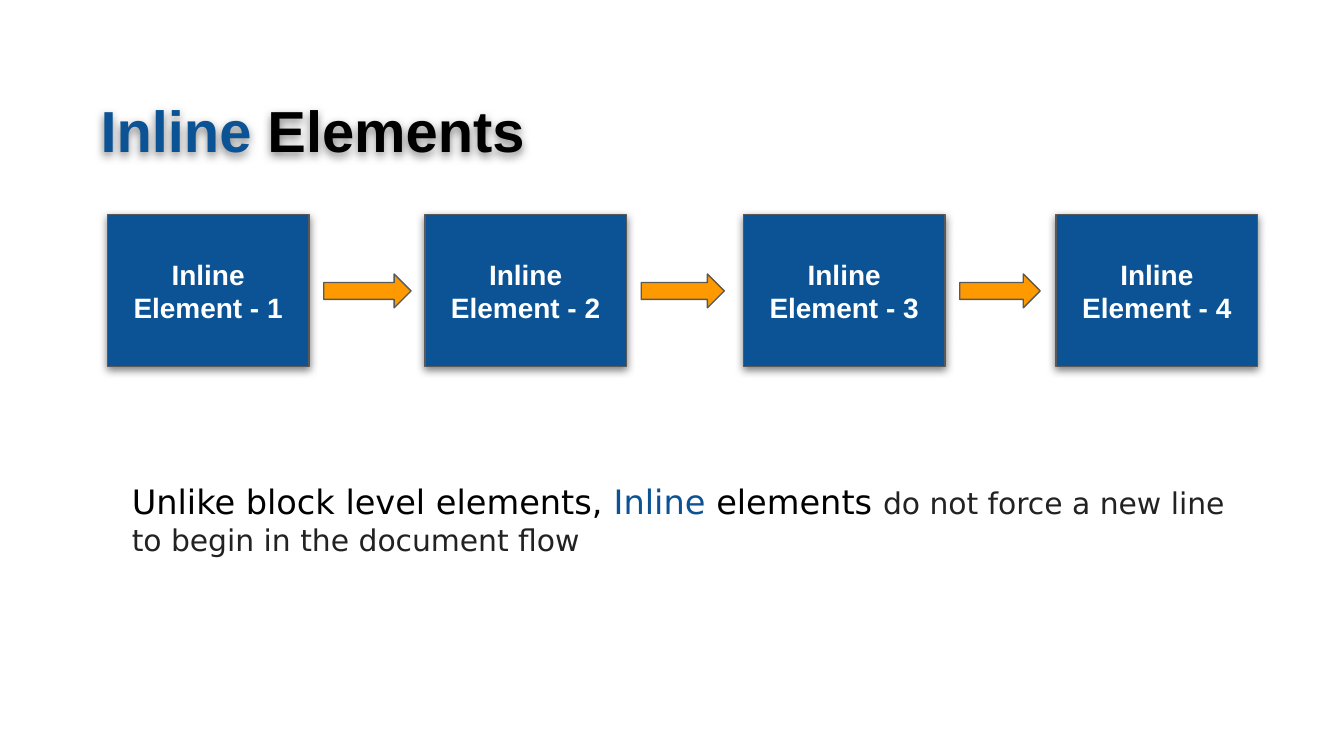
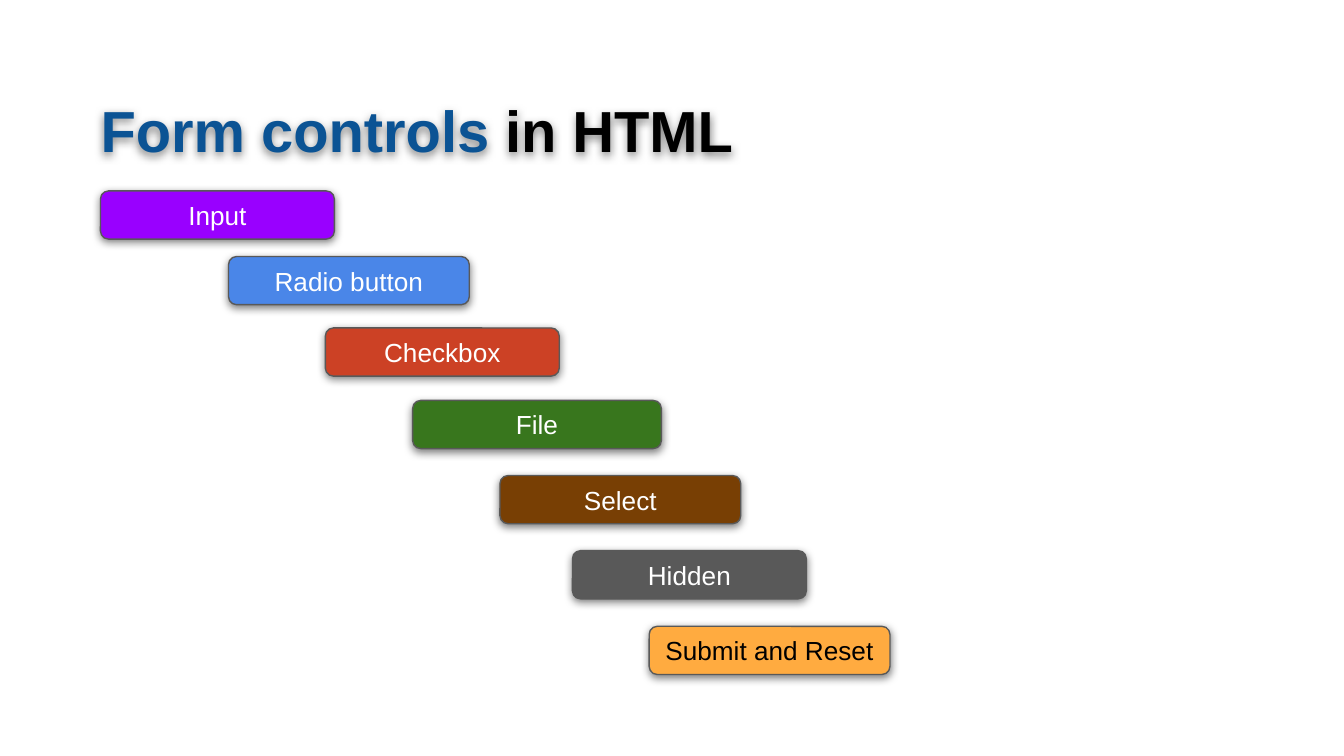
from lxml import etree
from pptx import Presentation
from pptx.dml.color import RGBColor
from pptx.enum import shapes, text
from pptx.oxml import ns
from pptx.util import Cm, Pt

COLORS = {
    "blue": "0B5394", "black": "000000", "white": "FFFFFF", "text": "222222",
    "grey": "595959", "arrow": "FF9900", "purple": "9900FF", "sky": "4A86E8",
    "red": "CC4125", "green": "38761D", "brown": "783F04", "amber": "FFAB40",
}
TITLE_ONLY, TITLE_AND_BODY = 5, 1
INSET = Cm(0.25)


def rgb(name):
    return RGBColor.from_string(COLORS[name])


class Deck:
    def __init__(self):
        self.prs = Presentation()
        self.prs.slide_width, self.prs.slide_height = Cm(25.4), Cm(14.29)
        self.s = None

    def slide(self, layout):
        self.s = self.prs.slides.add_slide(self.prs.slide_layouts[layout])

    def place(self, sp, left, top, width, height):
        sp.left, sp.top, sp.width, sp.height = map(Cm, (left, top, width, height))

    def frame(self, sp, anchor, align):
        """Set up the text frame and return its first paragraph."""
        tf = sp.text_frame
        tf.word_wrap = True
        tf.auto_size = text.MSO_AUTO_SIZE.NONE
        tf.vertical_anchor = anchor
        tf.margin_left = tf.margin_right = tf.margin_top = tf.margin_bottom = INSET
        p = tf.paragraphs[0]
        p.alignment = align
        p.space_before = Pt(0)
        return p

    def run(self, p, words, size, color, bold=False, font="Arial"):
        r = p.add_run()
        r.text = words
        r.font.name, r.font.size, r.font.bold = font, Pt(size), bold
        r.font.color.rgb = rgb(color)

    def shadow(self, sp):
        sp.shadow.inherit = False
        effects = sp._element.spPr.find(ns.qn("a:effectLst"))
        outer = etree.SubElement(effects, ns.qn("a:outerShdw"), blurRad="57150",
                                 dist="19050", dir="5400000", algn="bl", rotWithShape="0")
        color = etree.SubElement(outer, ns.qn("a:srgbClr"), val=COLORS["black"])
        etree.SubElement(color, ns.qn("a:alpha"), val="50000")

    def title(self, accent, rest):
        sp = self.s.shapes.title
        self.place(sp, 1.65, 1.42, 22.12, 1.65)
        p = self.frame(sp, text.MSO_ANCHOR.TOP, text.PP_ALIGN.LEFT)
        sp.text_frame.margin_top = Cm(0.36)
        self.run(p, accent, 31, "blue", bold=True)
        self.run(p, rest, 31, "black", bold=True)
        self.shadow(sp)

    def body(self, box, runs):
        sp = self.s.placeholders[1]
        self.place(sp, *box)
        p = self.frame(sp, text.MSO_ANCHOR.TOP, text.PP_ALIGN.LEFT)
        pPr = p._p.get_or_add_pPr()
        pPr.set("marL", "0")
        pPr.set("indent", "0")
        etree.SubElement(pPr, ns.qn("a:buNone"))
        for words, size, color in runs:
            self.run(p, words, size, color, font="DejaVu Sans")

    def shape(self, kind, box, fill):
        sp = self.s.shapes.add_shape(kind, *map(Cm, box))
        sp.shadow.inherit = False
        sp.fill.solid()
        sp.fill.fore_color.rgb = rgb(fill)
        sp.line.color.rgb = rgb("grey")
        sp.line.width = Pt(0.75)
        return sp

    def label_box(self, kind, box, fill, words, size, color="white", bold=False):
        sp = self.shape(kind, box, fill)
        self.shadow(sp)
        p = self.frame(sp, text.MSO_ANCHOR.MIDDLE, text.PP_ALIGN.CENTER)
        self.run(p, words, size, color, bold)


def inline_elements(deck):
    deck.slide(TITLE_AND_BODY)
    deck.title("Inline", " Elements")

    # Row of boxes, each followed by an arrow except the last
    box_lefts = [2.03, 8.03, 14.05, 19.96]
    arrow_widths = [1.65, 1.57, 1.52]
    for number, left in enumerate(box_lefts, 1):
        deck.label_box(shapes.MSO_SHAPE.RECTANGLE, (left, 4.06, 3.81, 2.87), "blue",
                       f"Inline Element - {number}", 15, bold=True)
    for left, width in zip(box_lefts, arrow_widths):
        deck.shape(shapes.MSO_SHAPE.RIGHT_ARROW, (left + 4.09, 5.18, width, 0.64), "arrow")

    # Explanation
    deck.body((2.24, 8.84, 21.54, 2.08), [
        ("Unlike block level elements, ", 18, "black"),
        ("Inline", 18, "blue"),
        (" elements ", 18, "black"),
        ("do not force a new line to begin in the document flow", 16, "text"),
    ])


def form_controls(deck):
    deck.slide(TITLE_ONLY)
    deck.title("Form controls", " in HTML")

    # Staircase of controls: label, left, top, width, fill, text colour
    controls = [
        ("Input", 1.9, 3.61, 4.42, "purple", "white"),
        ("Radio button", 4.32, 4.85, 4.55, "sky", "white"),
        ("Checkbox", 6.15, 6.2, 4.42, "red", "white"),
        ("File", 7.8, 7.57, 4.7, "green", "white"),
        ("Select", 9.45, 8.99, 4.55, "brown", "white"),
        ("Hidden", 10.82, 10.41, 4.42, "grey", "white"),
        ("Submit and Reset", 12.27, 11.84, 4.55, "amber", "black"),
    ]
    for label, left, top, width, fill, color in controls:
        deck.label_box(shapes.MSO_SHAPE.ROUNDED_RECTANGLE, (left, top, width, 0.91),
                       fill, label, 14, color)


def main():
    deck = Deck()
    inline_elements(deck)
    form_controls(deck)
    deck.prs.save("out.pptx")


if __name__ == "__main__":
    main()
